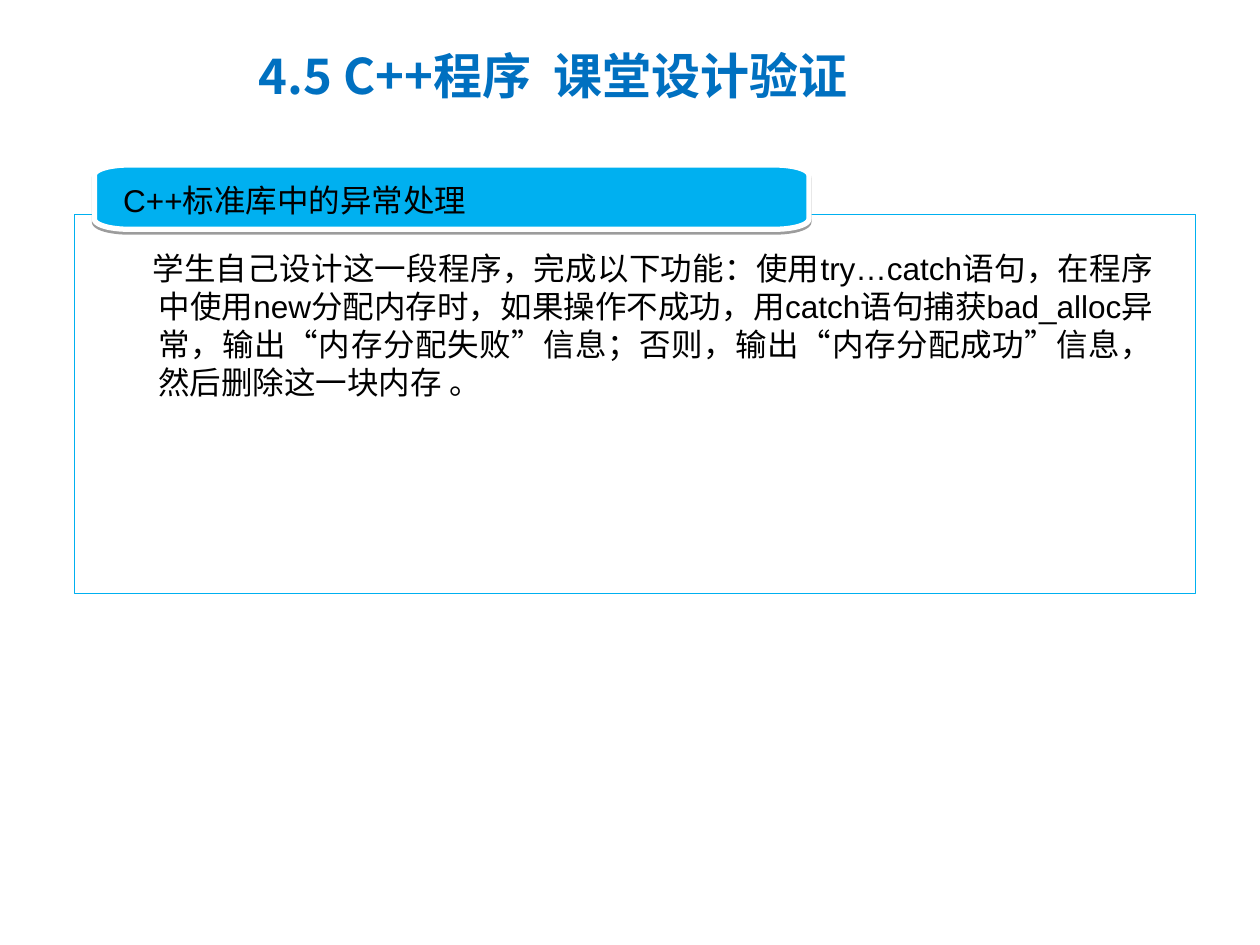
import math

import pptx
import pptx.dml.color
import pptx.enum.shapes
import pptx.enum.text
import pptx.oxml
import pptx.oxml.ns
import pptx.util
from pptx.util import Inches

TITLE = "4.5 C++程序  课堂设计验证"
HEADING = "C++标准库中的异常处理"
BODY = (
    "学生自己设计这一段程序，完成以下功能：使用try…catch语句，"
    "在程序中使用new分配内存时，如果操作不成功，用catch语句捕获bad_alloc异常，"
    "输出“内存分配失败”信息；否则，输出“内存分配成功”信息，然后删除这一块内存 。"
)
COLORS = {"title": "0070C0", "accent": "00B0F0", "text": "000000", "white": "FFFFFF"}
CJK_FONT = "Noto Sans CJK SC"
ALIGN = pptx.enum.text.PP_ALIGN
ANCHOR = pptx.enum.text.MSO_ANCHOR


def color(name):
    return pptx.dml.color.RGBColor.from_string(COLORS[name])


def add_text(slide, text, box, *, size=18, font="Arial", fill="text", bold=False,
             align=ALIGN.LEFT, anchor=ANCHOR.TOP, wrap=True, margin=0, indent=0):
    frame = slide.shapes.add_textbox(*map(Inches, box)).text_frame
    frame.word_wrap = wrap
    frame.vertical_anchor = anchor
    paragraph = frame.paragraphs[0]
    paragraph.alignment = align
    properties = paragraph._p.get_or_add_pPr()
    properties.set("marL", str(Inches(margin)))
    properties.set("indent", str(Inches(indent)))
    run = paragraph.add_run()
    run.text = text
    run.font.size = pptx.util.Pt(size)
    run.font.bold = bold
    run.font.name = font
    run.font.color.rgb = color(fill)
    east_asian = pptx.oxml.parse_xml(
        f'<a:ea {pptx.oxml.ns.nsdecls("a")} typeface="{CJK_FONT}"/>')
    run.font._element.find(pptx.oxml.ns.qn("a:latin")).addnext(east_asian)


def style(shape, fill, line, width):
    shape.shadow.inherit = False
    shape.fill.solid()
    shape.fill.fore_color.rgb = color(fill)
    shape.line.color.rgb = color(line)
    shape.line.width = pptx.util.Pt(width)


def add_panel(slide, box, opacity):
    panel = slide.shapes.add_shape(
        pptx.enum.shapes.MSO_SHAPE.RECTANGLE, *map(Inches, box))
    style(panel, "white", "accent", 0.75)
    panel.fill._xPr.find(".//" + pptx.oxml.ns.qn("a:srgbClr")).append(
        pptx.oxml.parse_xml(
            f'<a:alpha {pptx.oxml.ns.nsdecls("a")} val="{opacity * 1000}"/>'))


def add_heading_tab(slide, box, radius_x, radius_y, steps=12):
    """Draw a bar whose four corners are quarter ellipses, with a hard shadow below."""
    left, top, width, height = box
    near_x, far_x = left + radius_x, left + width - radius_x
    near_y, far_y = top + radius_y, top + height - radius_y
    centers = [(far_x, far_y), (near_x, far_y), (near_x, near_y), (far_x, near_y)]
    points = []
    for quarter, (x, y) in enumerate(centers):
        for step in range(steps + 1):
            angle = math.pi / 2 * (quarter + step / steps)
            points.append((Inches(x + radius_x * math.cos(angle)),
                           Inches(y + radius_y * math.sin(angle))))
    builder = slide.shapes.build_freeform(*points[0])
    builder.add_line_segments(points[1:], close=True)
    tab = builder.convert_to_shape()
    style(tab, "accent", "white", 3)
    tab._element.spPr.find(pptx.oxml.ns.qn("a:effectLst")).append(pptx.oxml.parse_xml(
        f'<a:outerShdw {pptx.oxml.ns.nsdecls("a")} blurRad="0" '
        f'dist="{pptx.util.Pt(1.6)}" dir="5400000" rotWithShape="0">'
        f'<a:srgbClr val="{COLORS["text"]}"><a:alpha val="38000"/></a:srgbClr>'
        '</a:outerShdw>'))


def main():
    presentation = pptx.Presentation()
    presentation.slide_width = Inches(10)
    presentation.slide_height = Inches(7.5)
    slide = presentation.slides.add_slide(presentation.slide_layouts[6])

    add_text(slide, TITLE, (1.81, 0.17, 5.16, 0.85), size=28, font=CJK_FONT,
             fill="title", bold=True, align=ALIGN.CENTER, anchor=ANCHOR.MIDDLE)
    add_panel(slide, (0.59, 1.7, 8.9, 3.01), opacity=90)
    add_heading_tab(slide, (0.75, 1.31, 5.67, 0.51), radius_x=0.27, radius_y=0.08)
    add_text(slide, HEADING, (0.88, 1.39, 3.04, 0.4), wrap=False)
    add_text(slide, BODY, (0.78, 1.93, 8.47, 1.3), align=ALIGN.JUSTIFY,
             margin=0.38, indent=-0.05)
    presentation.save("out.pptx")


if __name__ == "__main__":
    main()
